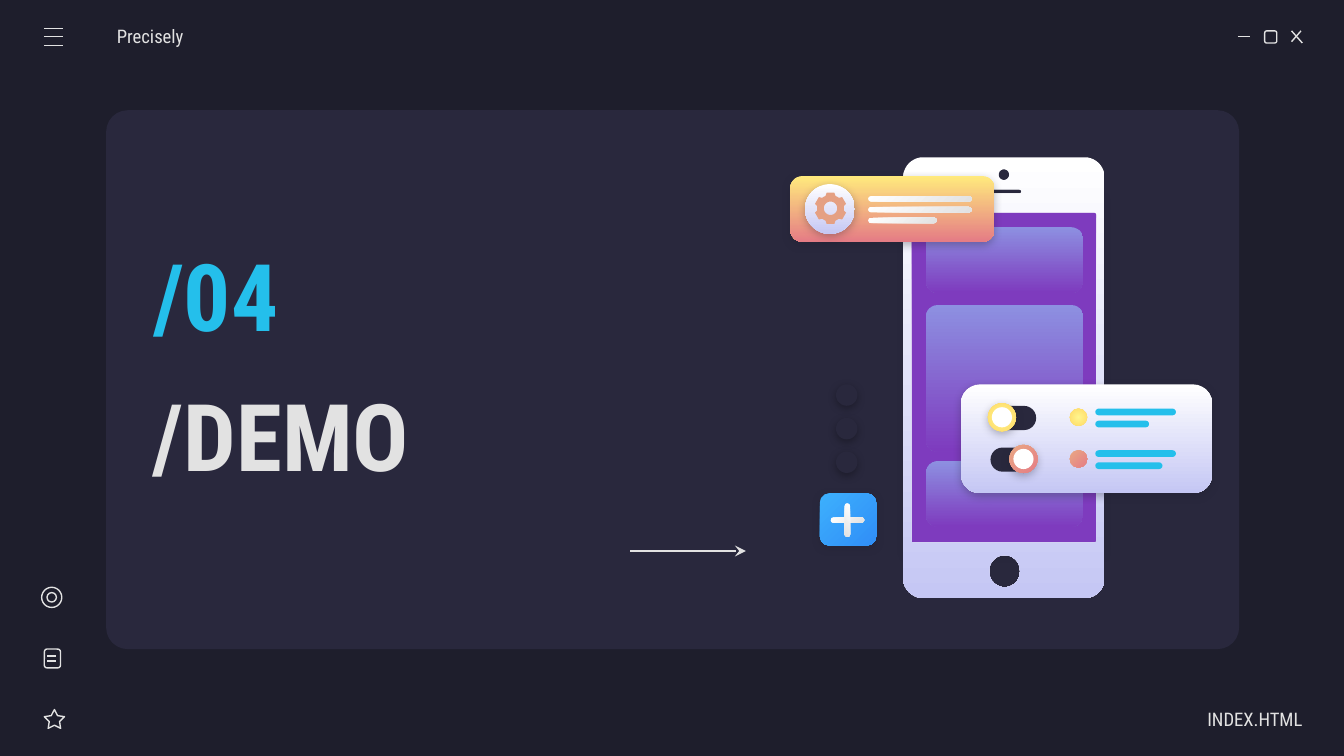
from dataclasses import dataclass
from math import cos, radians, sin
from typing import NamedTuple, Optional, Union

from lxml import etree
from pptx import Presentation
from pptx.dml.color import RGBColor
from pptx.enum import shapes, text
from pptx.oxml import ns, parse_xml
from pptx.util import Inches, Pt

KIND = shapes.MSO_SHAPE
ROUND, OVAL = KIND.ROUNDED_RECTANGLE, KIND.OVAL


class Gradient(NamedTuple):
    start: str
    end: str
    angle: Optional[int] = 90  # clockwise; None runs outwards from the centre


class Theme:
    font = "Roboto Condensed"
    small, large = 10, 50
    stroke = 0.75
    page, panel, ink, cyan = "1E1E2C", "29283D", "E2E2E2", "24BFEB"
    white, black, purple, gear = "FFFFFF", "000000", "7E3BBE", "E5A083"
    silver = Gradient(white, "C5C7F4")
    tile = Gradient("8D90E1", purple)
    sunset = Gradient("FFEA7D", "E57C85")
    bar = Gradient(white, ink, 45)
    yellow = Gradient("FFF68E", "FFD966", None)
    coral = Gradient("E9A984", "E57C85", 45)
    blue = Gradient("3DB0FD", "308EF7", 45)


@dataclass
class Piece:
    """A preset shape; without paint it is only an outline."""
    kind: shapes.MSO_SHAPE
    left: float
    top: float
    width: float
    height: float
    paint: Union[str, Gradient, None] = None
    adjust: Optional[float] = None
    shadow: Optional[str] = None
    turn: int = 0


@dataclass
class Label:
    words: str
    left: float
    top: float
    width: float
    height: float
    size: int
    color: str = Theme.ink
    bold: bool = False
    align: text.PP_ALIGN = text.PP_ALIGN.LEFT
    inset_left: float = 0.1
    inset_right: float = 0.1


def style(shape, paint, shadow=None) -> None:
    """Set fill, line and shadow."""
    shape.shadow.inherit = False
    if paint is None:
        shape.fill.background()
        shape.line.color.rgb = RGBColor.from_string(Theme.ink)
        shape.line.width = Pt(Theme.stroke)
    else:
        shape.line.fill.background()
        if isinstance(paint, Gradient):
            shape.fill.gradient()
            for stop, color in zip(shape.fill.gradient_stops, paint[:2]):
                stop.color.rgb = RGBColor.from_string(color)
            if paint.angle is None:
                linear = shape._element.spPr.find(".//" + ns.qn("a:lin"))
                linear.getparent().replace(linear, parse_xml(
                    f'<a:path {ns.nsdecls("a")} path="circle">'
                    '<a:fillToRect l="50000" t="50000" r="50000" b="50000"/></a:path>'))
            else:
                shape.fill.gradient_angle = 360 - paint.angle
        else:
            shape.fill.solid()
            shape.fill.fore_color.rgb = RGBColor.from_string(paint)
    if shadow:
        shape._element.spPr.find(ns.qn("a:effectLst")).append(parse_xml(
            f'<a:outerShdw {ns.nsdecls("a")} blurRad="{Pt(4.5)}" dist="{Pt(1.5)}" '
            f'dir="5400000" algn="bl" rotWithShape="0"><a:srgbClr val="{shadow}">'
            '<a:alpha val="30000"/></a:srgbClr></a:outerShdw>'))


def draw_piece(canvas, piece: Piece) -> None:
    sides = (piece.left, piece.top, piece.width, piece.height)
    shape = canvas.add_shape(piece.kind, *map(Inches, sides))
    if piece.adjust is not None:
        shape.adjustments[0] = piece.adjust
    shape.rotation = piece.turn
    style(shape, piece.paint, piece.shadow)


def draw_line(canvas, x1: float, y1: float, x2: float, y2: float, arrow: bool = False) -> None:
    line = canvas.add_connector(shapes.MSO_CONNECTOR.STRAIGHT, *map(Inches, (x1, y1, x2, y2)))
    line.line.color.rgb = RGBColor.from_string(Theme.ink)
    line.line.width = Pt(Theme.stroke)
    if arrow:
        etree.SubElement(line.line._get_or_add_ln(), ns.qn("a:tailEnd"), type="stealth")
    etree.SubElement(line._element.spPr, ns.qn("a:effectLst"))


def draw_outline(canvas, contours: list, paint) -> None:
    """Draw one freeform; inner contours become holes."""
    builder = None
    for contour in contours:
        points = [(Inches(x), Inches(y)) for x, y in contour]
        if builder is None:
            builder = canvas.build_freeform(*points[0])
        else:
            builder.move_to(*points[0])
        builder.add_line_segments(points[1:], close=True)
    style(builder.convert_to_shape(), paint)


def draw_label(canvas, label: Label) -> None:
    sides = (label.left, label.top, label.width, label.height)
    frame = canvas.add_textbox(*map(Inches, sides)).text_frame
    settings = {"word_wrap": True, "vertical_anchor": text.MSO_ANCHOR.MIDDLE,
                "margin_left": Inches(label.inset_left), "margin_right": Inches(label.inset_right),
                "margin_top": Inches(0.1), "margin_bottom": Inches(0.1)}
    for name, value in settings.items():
        setattr(frame, name, value)
    para = frame.paragraphs[0]
    para.alignment = label.align
    span = para.add_run()
    span.text = label.words
    for name, value in {"name": Theme.font, "size": Pt(label.size), "bold": label.bold}.items():
        setattr(span.font, name, value)
    span.font.color.rgb = RGBColor.from_string(label.color)


def polar(x: float, y: float, radius: float, degrees: float) -> tuple:
    return x + radius * cos(radians(degrees)), y + radius * sin(radians(degrees))


def rounded(left: float, top: float, width: float, height: float, radius: float) -> list:
    """Points of a rounded rectangle, clockwise from its lower right corner."""
    near_x, far_x = left + radius, left + width - radius
    near_y, far_y = top + radius, top + height - radius
    corners = [(far_x, far_y), (near_x, far_y), (near_x, near_y), (far_x, near_y)]
    return [polar(x, y, radius, 90 * turn + step)
            for turn, (x, y) in enumerate(corners) for step in range(0, 91, 9)]


def draw_window(canvas) -> None:
    draw_piece(canvas, Piece(ROUND, 0.79, 0.82, 8.43, 4.01, Theme.panel, 0.04))
    buttons = canvas.add_group_shape().shapes
    draw_line(buttons, 9.21, 0.27, 9.3, 0.27)
    draw_piece(buttons, Piece(ROUND, 9.41, 0.23, 0.09, 0.09))
    draw_line(buttons, 9.61, 0.23, 9.69, 0.32)
    draw_line(buttons, 9.68, 0.23, 9.61, 0.31)
    menu = canvas.add_group_shape().shapes
    for y in (0.21, 0.27, 0.34):
        draw_line(menu, 0.33, y, 0.47, y)
    icons = canvas.add_group_shape().shapes
    for icon in (Piece(KIND.STAR_5_POINT, 0.33, 5.28, 0.15, 0.14, adjust=0.254),
                 Piece(ROUND, 0.33, 4.83, 0.12, 0.14),
                 Piece(OVAL, 0.31, 4.37, 0.15, 0.15), Piece(OVAL, 0.35, 4.41, 0.07, 0.07)):
        draw_piece(icons, icon)
    for y in (4.88, 4.92):
        draw_line(icons, 0.35, y, 0.42, y)


def draw_phone(canvas) -> None:
    draw_piece(canvas, Piece(ROUND, 6.74, 1.47, 1.46, 2.63, Theme.purple, 0, Theme.page))
    for top, height, adjust in ((1.69, 0.49, 0.187), (2.27, 1.09, 0.079), (3.43, 0.49, 0.187)):
        draw_piece(canvas, Piece(ROUND, 6.89, top, 1.17, height, Theme.tile, adjust))
    body, screen = rounded(6.72, 1.17, 1.5, 3.28, 0.15), rounded(6.78, 1.58, 1.38, 2.46, 0.02)
    camera, home = rounded(7.43, 1.26, 0.08, 0.08, 0.04), rounded(7.36, 4.13, 0.23, 0.24, 0.115)
    speaker = rounded(7.35, 1.41, 0.25, 0.03, 0.015)
    draw_outline(canvas, [body, camera, speaker, screen, home], Theme.silver)


def draw_notice(canvas) -> None:
    draw_piece(canvas, Piece(ROUND, 5.88, 1.31, 1.52, 0.49, Theme.sunset, 0.187, Theme.page))
    draw_piece(canvas, Piece(OVAL, 5.99, 1.37, 0.37, 0.37, Theme.silver, shadow=Theme.page))
    teeth = [polar(6.18, 1.55, radius, middle + offset) for middle in range(-90, 270, 60)
             for radius, offset in ((0.1, -21), (0.12, -14), (0.12, 14), (0.1, 21))]
    draw_outline(canvas, [teeth, rounded(6.13, 1.5, 0.1, 0.1, 0.05)], Theme.gear)
    for row, width in enumerate((0.77, 0.77, 0.51)):
        draw_piece(canvas, Piece(ROUND, 6.46, 1.46 + 0.08 * row, width, 0.04, Theme.bar, 0.5))


def draw_switches(canvas) -> None:
    draw_piece(canvas, Piece(ROUND, 7.15, 2.86, 1.87, 0.81, Theme.silver, 0.176, Theme.page))
    for top, knob, paint, width in ((3, 7.35, Theme.yellow, 0.4), (3.31, 7.51, Theme.coral, 0.5)):
        for piece in (Piece(ROUND, 7.37, top + 0.02, 0.34, 0.18, Theme.panel, 0.5),
                      Piece(OVAL, knob, top, 0.21, 0.21, paint, shadow=Theme.page),
                      Piece(OVAL, knob + 0.03, top + 0.03, 0.15, 0.15, Theme.white),
                      Piece(OVAL, 7.96, top + 0.04, 0.13, 0.13, paint),
                      Piece(ROUND, 8.15, top + 0.04, 0.6, 0.05, Theme.cyan, 0.5),
                      Piece(ROUND, 8.15, top + 0.13, width, 0.05, Theme.cyan, 0.5)):
            draw_piece(canvas, piece)


def draw_add_button(canvas) -> None:
    draw_piece(canvas, Piece(ROUND, 6.1, 3.67, 0.42, 0.39, Theme.blue, 0.183, Theme.page))
    for turn in (0, 90):
        draw_piece(canvas, Piece(ROUND, 6.18, 3.85, 0.25, 0.04, Theme.bar, 0.5, turn=turn))
    for top in (3.36, 3.11, 2.86):
        draw_piece(canvas, Piece(OVAL, 6.22, top, 0.16, 0.16, Theme.panel, shadow=Theme.black, turn=90))


def main() -> None:
    deck = Presentation()
    deck.slide_width, deck.slide_height = Inches(10), Inches(10 * 9 / 16)
    page = deck.slides.add_slide(deck.slide_layouts[6])
    page.background.fill.solid()
    page.background.fill.fore_color.rgb = RGBColor.from_string(Theme.page)
    draw_window(page.shapes)
    for label in (Label("Precisely", 0.87, 0.12, 1.17, 0.3, Theme.small, inset_left=0),
                  Label("INDEX.HTML", 8.52, 5.2, 1.17, 0.3, Theme.small,
                        align=text.PP_ALIGN.RIGHT, inset_right=0),
                  Label("/DEMO", 1.04, 2.6, 4.3, 1.26, Theme.large, bold=True),
                  Label("/04", 1.04, 1.73, 1.78, 0.92, Theme.large, Theme.cyan, True)):
        draw_label(page.shapes, label)
    draw_line(page.shapes, 4.69, 4.1, 5.55, 4.1, arrow=True)
    artwork = page.shapes.add_group_shape().shapes
    for draw in (draw_phone, draw_notice, draw_switches, draw_add_button):
        draw(artwork)
    deck.save("out.pptx")


if __name__ == "__main__":
    main()
